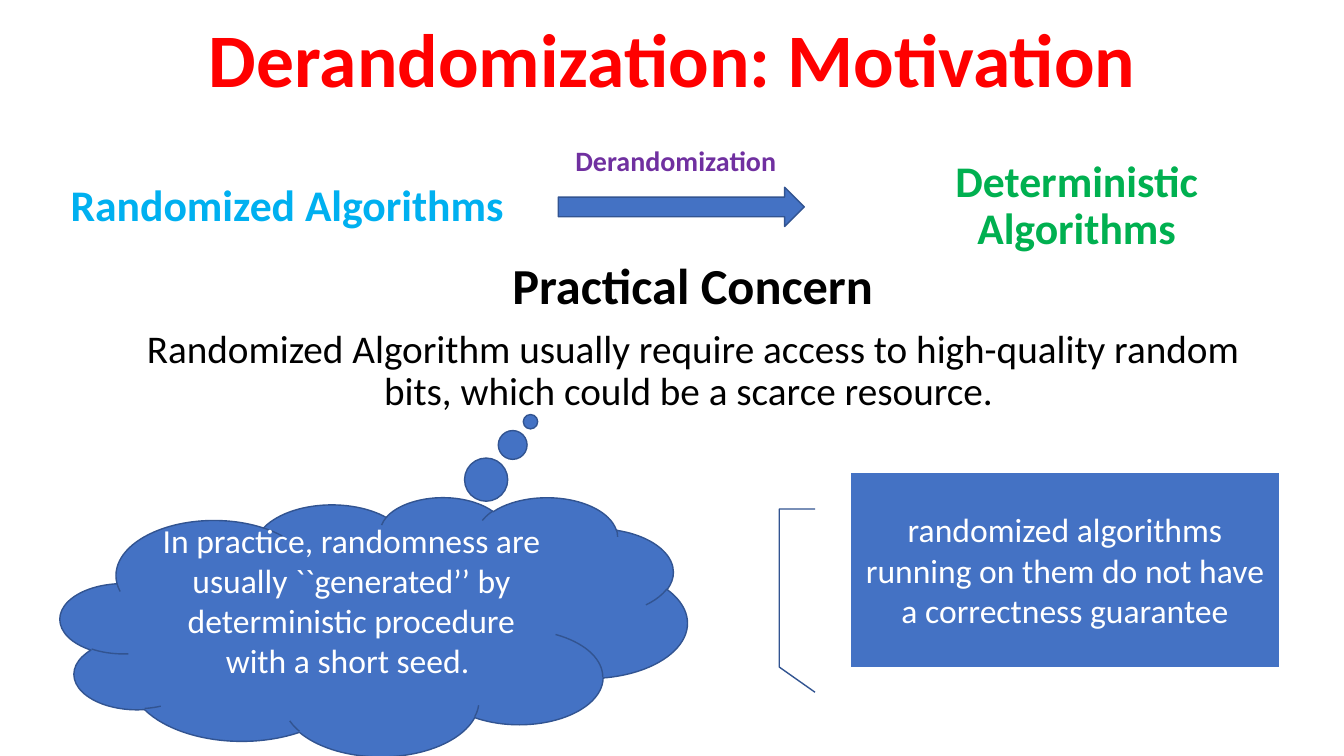
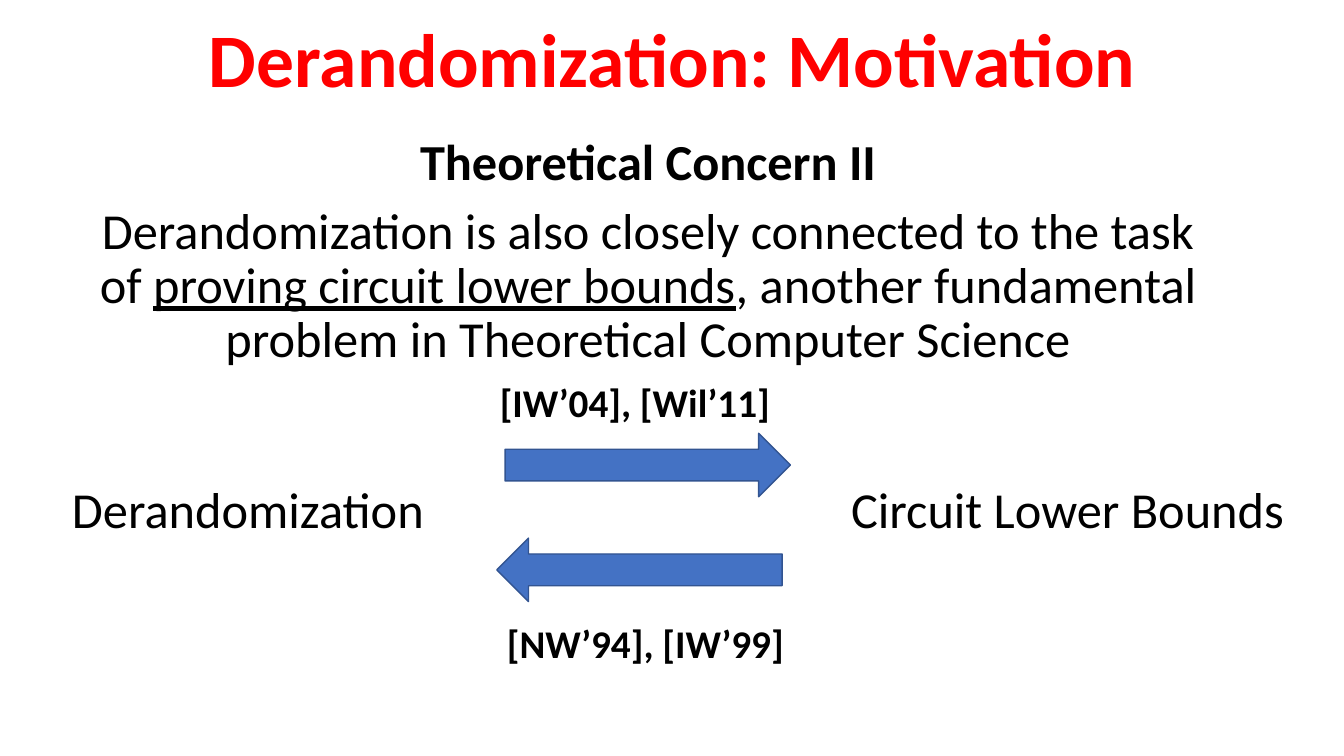
"""Build two slides on the motivation for derandomization."""
from pptx import Presentation
from pptx.dml.color import RGBColor
from pptx.enum.shapes import MSO_SHAPE
from pptx.enum.text import MSO_ANCHOR, PP_ALIGN
from pptx.util import Cm, Pt

FONT = "Calibri"
COLORS = {
    "title": "FF0000", "text": "000000", "white": "FFFFFF", "fill": "4472C4", "outline": "325491",
    "randomized": "00B0F0", "deterministic": "00B050", "label": "7030A0",
}
RIGHT_ARROW, LEFT_ARROW = MSO_SHAPE.RIGHT_ARROW, MSO_SHAPE.LEFT_ARROW
CLOUD, CALLOUT = MSO_SHAPE.CLOUD_CALLOUT, MSO_SHAPE.LINE_CALLOUT_3_NO_BORDER
RECTANGLE = MSO_SHAPE.RECTANGLE
TOP, MIDDLE = MSO_ANCHOR.TOP, MSO_ANCHOR.MIDDLE
LEFT, CENTER = PP_ALIGN.LEFT, PP_ALIGN.CENTER


def add_box(page, place, kind=None, fill="fill", line="outline", anchor=TOP, wrap=True):
    lengths = [Cm(length) for length in place]
    if kind is None:
        box = page.shapes.add_textbox(*lengths)
    else:
        box = page.shapes.add_shape(kind, *lengths)
        box.shadow.inherit = False
        box.fill.solid()
        box.fill.fore_color.rgb = RGBColor.from_string(COLORS[fill])
        if line:
            box.line.color.rgb = RGBColor.from_string(COLORS[line])
            box.line.width = Pt(1)
        else:
            box.line.fill.background()
    box.text_frame.word_wrap = wrap
    box.text_frame.vertical_anchor = anchor
    return box


def add_para(box, spans, size, color="text", bold=False, align=CENTER, spacing=0.9, before=0):
    frame = box.text_frame
    para = frame.add_paragraph() if frame.text else frame.paragraphs[0]
    para.alignment = align
    para.line_spacing = spacing
    para.space_before = Pt(before)
    para.font.name = FONT
    para.font.size = Pt(size)
    para.font.bold = bold
    para.font.color.rgb = RGBColor.from_string(COLORS[color])
    for text, underline in spans:
        span = para.add_run()
        span.text = text
        if underline:
            span.font.underline = True


deck = Presentation()
deck.slide_width, deck.slide_height = Cm(33.87), Cm(19.05)

concerns = [
    ((3.45, 6.45, 28.02, 4.39), "Practical Concern", 28, [
        ("Randomized Algorithm usually require access to high-quality random bits, "
         "which could be a scarce resource. ", False),
    ]),
    ((2.24, 3.33, 28.19, 6.48), "Theoretical Concern II", 36, [
        ("Derandomization is also closely connected to the task of ", False),
        ("proving circuit lower bounds", True),
        (", another fundamental problem in Theoretical Computer Science", False),
    ]),
]
pages = []
for place, heading, size, spans in concerns:
    page = deck.slides.add_slide(deck.slide_layouts[6])
    title = add_box(page, (2.34, 0.33, 29.21, 2.51), anchor=MIDDLE)
    add_para(title, [("Derandomization: Motivation", False)], 54, "title", bold=True)
    body = add_box(page, place)
    add_para(body, [(heading, False)], 36, bold=True, before=10)
    add_para(body, spans, size, before=10)
    pages.append(page)
practical, theoretical = pages

for left, width, text, color in [
    (0.33, 13.82, "Randomized Algorithms", "randomized"),
    (21.23, 11.81, "Deterministic Algorithms", "deterministic"),
]:
    box = add_box(practical, (left, 3.96, width, 2.51), anchor=MIDDLE)
    add_para(box, [(text, False)], 31.2, color, bold=True)

add_box(practical, (14.07, 4.72, 6.2, 0.99), RIGHT_ARROW)
label = add_box(practical, (14.25, 3.48, 5.69, 1.12))
add_para(label, [("Derandomization", False)], 20, "label", bold=True, align=LEFT, spacing=1)

cloud = add_box(practical, (1.52, 12.52, 15.8, 6.53), CLOUD, anchor=MIDDLE)
cloud.adjustments[0], cloud.adjustments[1] = 0.25, -0.79
cloud.text_frame.margin_bottom = Cm(1.15)
callout = add_box(practical, (21.44, 11.91, 10.8, 4.9), CALLOUT, anchor=MIDDLE)
for box, text in [
    (cloud, "In practice, randomness are usually ``generated’’ by deterministic procedure "
            "with a short seed. "),
    (callout, "randomized algorithms running on them do not have a correctness guarantee"),
]:
    add_para(box, [(text, False)], 24, "white", spacing=1)

for left, width, text in [(0.56, 11.38, "Derandomization"), (20.35, 13.11, "Circuit Lower Bounds")]:
    box = add_box(theoretical, (left, 12.09, width, 1.75), RECTANGLE, "white", None)
    add_para(box, [(text, False)], 36, before=10)

for kind, arrow_left, arrow_top, label_place, text in [
    (RIGHT_ARROW, 12.73, 10.92, (12.29, 9.42, 7.42, 1.45), "[IW’04], [Wil’11]"),
    (LEFT_ARROW, 12.52, 13.56, (12.47, 15.49, 7.59, 1.45), "[NW’94], [IW’99]"),
]:
    add_box(theoretical, (arrow_left, arrow_top, 7.19, 1.6), kind)
    citation = add_box(theoretical, label_place, wrap=False)
    add_para(citation, [(text, False)], 28, bold=True, spacing=1)

deck.save("out.pptx")
